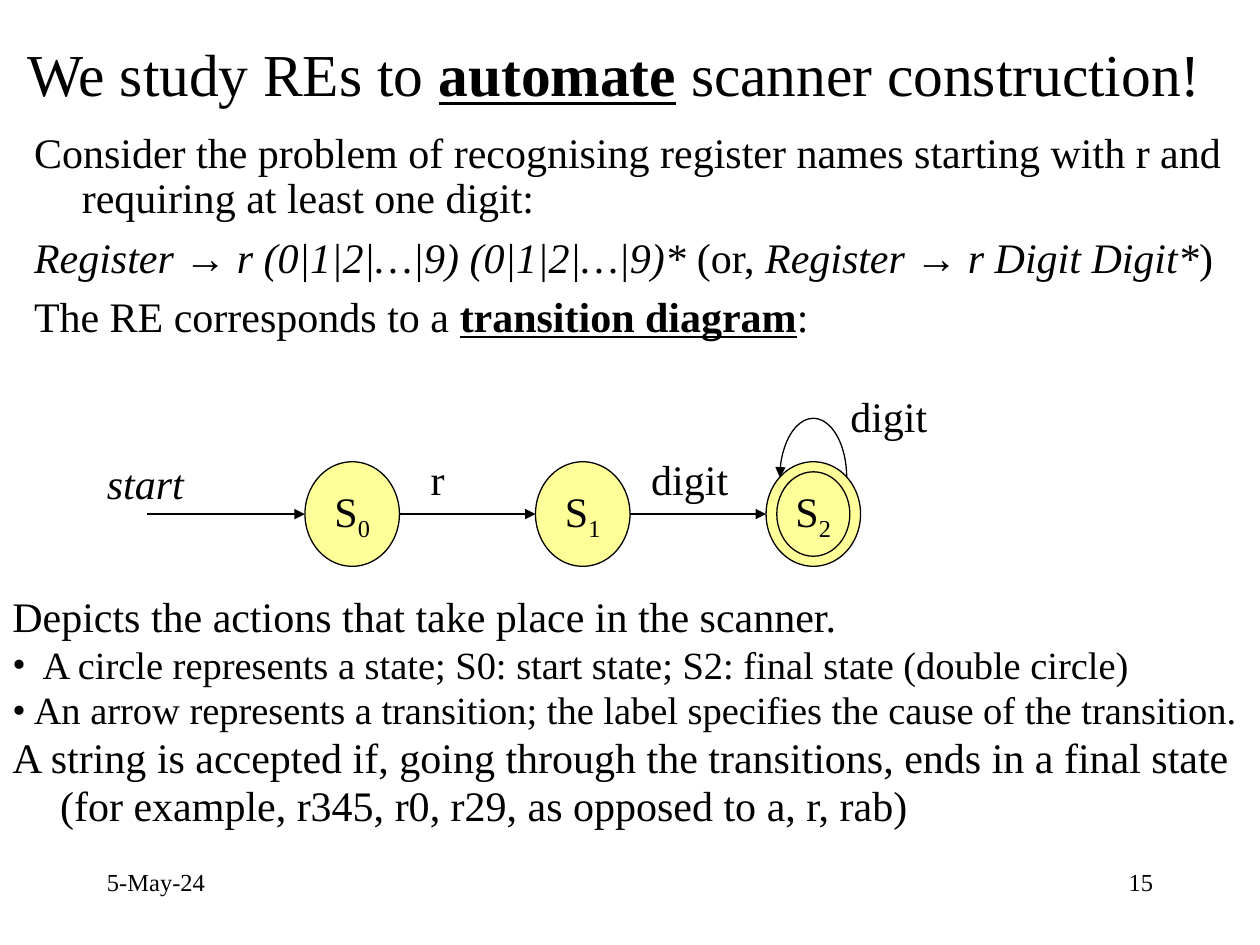
from lxml import etree
from pptx import Presentation
from pptx.dml.color import RGBColor
from pptx.enum import shapes, text
from pptx.oxml.ns import qn
from pptx.util import Inches, Pt

FONT = "Times New Roman"
COLORS = {"ink": "000000", "state": "FFFF99"}

# Content: a paragraph is a list of (text, style); b bold, u underline, i italic, s subscript
TITLE = [("We study REs to ", ""), ("automate", "bu"), (" scanner construction!", "")]
BODY = [
    [("Consider the problem of recognising register names starting with r and "
      "requiring at least one digit:", "")],
    [("Register → r (0|1|2|…|9) (0|1|2|…|9)*", "i"), (" (or, ", ""),
     ("Register → r Digit Digit*", "i"), (")", "")],
    [("The RE corresponds to a ", ""), ("transition diagram", "bu"), (":", "")],
]
# text, size, hanging indent, bulleted
NOTES = [
    ("Depicts the actions that take place in the scanner.", 24, 0.38, False),
    ("A circle represents a state; S0: start state; S2: final state (double circle)",
     22, 0.24, True),
    ("An arrow represents a transition; the label specifies the cause of the transition.",
     22, 0.17, True),
    ("A string is accepted if, going through the transitions, ends in a final state "
     "(for example, r345, r0, r29, as opposed to a, r, rab)", 24, 0.38, False),
]
LABELS = [("start", "i", 0.75, 3.58), ("r", "", 3.32, 3.55),
          ("digit", "", 5.07, 3.55), ("digit", "", 6.65, 3.05)]
FOOTER = [("5-May-24", 0.75, text.PP_ALIGN.LEFT), ("15", 7.17, text.PP_ALIGN.RIGHT)]

# Diagram geometry
FIRST_X, STEP, STATE_W, STATE_H, MID_Y = 2.42, 1.83, 0.75, 0.83, 4.08
START_X = 1.17
DEGREE = 0.6  # adjustments count 100000ths, angles are stored in 60000ths


def color(name):
    return RGBColor.from_string(COLORS[name])


def write(p, runs, size, align=None):
    p.text = runs[0][0]
    for t, _ in runs[1:]:
        p.add_run().text = t
    for r, (_, style) in zip(p.runs, runs):
        f = r.font
        f.name, f.size, f.color.rgb = FONT, Pt(size), color("ink")
        f.bold, f.italic, f.underline = "b" in style, "i" in style, "u" in style
        if "s" in style:
            f._element.set("baseline", "-25000")
    if align is not None:
        p.alignment = align


def hang(p, indent, bullet=False):
    pPr = p._p.get_or_add_pPr()
    pPr.set("marL", str(Inches(indent)))
    pPr.set("indent", str(-Inches(indent)))
    if bullet:
        etree.SubElement(pPr, qn("a:buFont")).set("typeface", FONT)
        etree.SubElement(pPr, qn("a:buChar")).set("char", "•")
    else:
        etree.SubElement(pPr, qn("a:buNone"))


def place(sp, x, y, w, h):
    sp.left, sp.top, sp.width, sp.height = map(Inches, (x, y, w, h))


def text_box(s, x, y, w, h, wrap=True):
    tf = s.shapes.add_textbox(*map(Inches, (x, y, w, h))).text_frame
    tf.word_wrap = wrap
    return tf


def outline(sp, arrow_end=None):
    sp.line.color.rgb, sp.line.width = color("ink"), Pt(0.75)
    if arrow_end:
        ln = sp.line._get_or_add_ln()
        etree.SubElement(ln, qn("a:" + arrow_end)).set("type", "triangle")


def ellipse(s, x, y, w, h, name=None):
    sp = s.shapes.add_shape(shapes.MSO_SHAPE.OVAL, *map(Inches, (x, y, w, h)))
    sp.shadow.inherit = False
    sp.fill.solid()
    sp.fill.fore_color.rgb = color("state")
    outline(sp)
    if name:
        tf = sp.text_frame
        tf.word_wrap, tf.vertical_anchor = False, text.MSO_ANCHOR.MIDDLE
        write(tf.paragraphs[0], [("S", ""), (name, "s")], 24, text.PP_ALIGN.CENTER)


def arrow(s, x1, x2):
    cx = s.shapes.add_connector(shapes.MSO_CONNECTOR.STRAIGHT,
                                *map(Inches, (x1, MID_Y, x2, MID_Y)))
    outline(cx, "tailEnd")
    etree.SubElement(cx._element.spPr, qn("a:effectLst"))


prs = Presentation()
prs.slide_width, prs.slide_height = Inches(10), Inches(7.5)
s = prs.slides.add_slide(prs.slide_layouts[1])

# Title and body
title, body = s.shapes.title, s.placeholders[1]
place(title, 0, 0.08, 9.75, 1)
place(body, 0.17, 1, 9.67, 1.83)
for sp in (title, body):
    sp.text_frame.auto_size = text.MSO_AUTO_SIZE.NONE
title.text_frame.vertical_anchor = text.MSO_ANCHOR.MIDDLE
write(title.text_frame.paragraphs[0], TITLE, 34, text.PP_ALIGN.CENTER)
tf = body.text_frame
for i, runs in enumerate(BODY):
    p = tf.add_paragraph() if i else tf.paragraphs[0]
    hang(p, 0.38)
    p.line_spacing = 0.9
    p.space_before = Pt(8 if i else 0)
    write(p, runs, 24)

# Explanation below the diagram
tf = text_box(s, 0, 4.67, 10, 2.08)
for i, (line, size, indent, bullet) in enumerate(NOTES):
    p = tf.add_paragraph() if i else tf.paragraphs[0]
    hang(p, indent, bullet)
    p.line_spacing = 0.95
    p.space_before = Pt(1 if i else 0)
    write(p, [(line, "")], size)

# States, the last one doubled, each with its incoming arrow
arrow_from = START_X
for i in range(3):
    x, final = FIRST_X + i * STEP, i == 2
    ellipse(s, x, MID_Y - STATE_H / 2, STATE_W, STATE_H, None if final else str(i))
    if final:
        w, h = 0.58, 0.67
        ellipse(s, x + (STATE_W - w) / 2, MID_Y - h / 2, w, h, str(i))
    arrow(s, arrow_from, x)
    arrow_from = x + STATE_W

# Loop on the final state: upper half of an ellipse, clockwise from left to right
loop = s.shapes.add_shape(shapes.MSO_SHAPE.ARC, *map(Inches, (6.19, 3.32, 0.53, 0.94)))
loop.adjustments[0], loop.adjustments[1] = 180 * DEGREE, 0
loop.shadow.inherit = False
loop.fill.background()
outline(loop, "headEnd")

# Transition labels
for label, style, x, y in LABELS:
    tf = text_box(s, x, y, 0.31 if label == "r" else 0.81, 0.5, wrap=False)
    tf.auto_size = text.MSO_AUTO_SIZE.SHAPE_TO_FIT_TEXT
    write(tf.paragraphs[0], [(label, style)], 24)

# Date and slide number
for line, x, align in FOOTER:
    write(text_box(s, x, 6.83, 2.08, 0.5).paragraphs[0], [(line, "")], 14, align)

prs.save("out.pptx")
